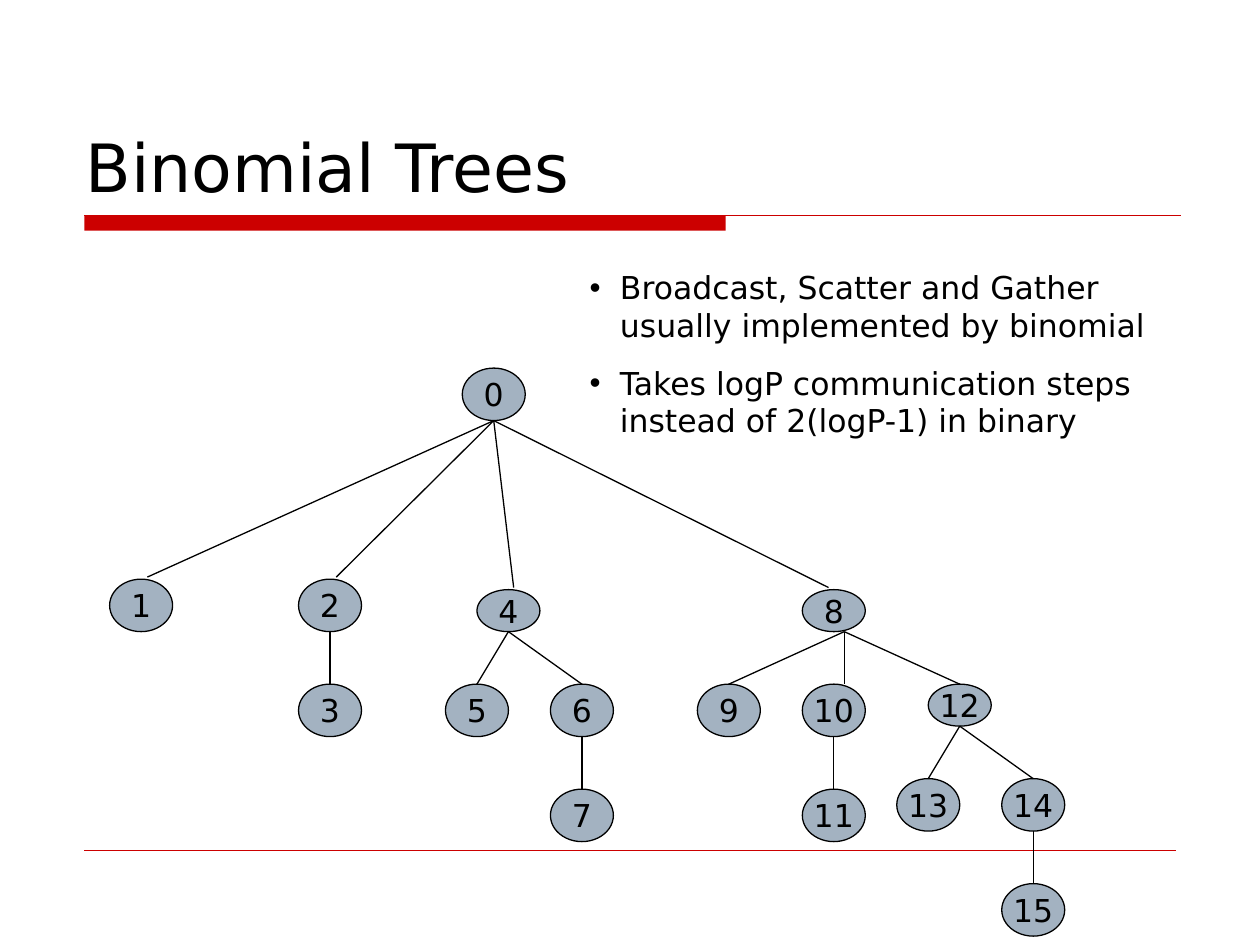
from collections import namedtuple

from lxml.etree import SubElement
from pptx import Presentation
from pptx.dml.color import RGBColor
from pptx.enum.shapes import MSO_CONNECTOR as Connector, MSO_SHAPE as Preset
from pptx.enum.text import MSO_ANCHOR as Anchor, MSO_AUTO_SIZE as AutoSize, PP_ALIGN as Align
from pptx.oxml.ns import qn
from pptx.util import Inches, Pt

Box = namedtuple("Box", "left top width height")
Node = namedtuple("Node", "column row height")

COLORS = {"accent": "CC0000", "node": "A3B2C1", "ink": "000000"}
FONT = "DejaVu Sans"
GRID_COLUMNS, GRID_ROWS = 91, 54
NODE_WIDTH = 6

NODES = {
    0: Node(33.6, -0.1, 5),
    1: Node(0, 20, 5),
    2: Node(18, 20, 5),
    3: Node(18, 30, 5),
    4: Node(35, 21, 4),
    5: Node(32, 30, 5),
    6: Node(42, 30, 5),
    7: Node(42, 40, 5),
    8: Node(66, 21, 4),
    9: Node(56, 30, 5),
    10: Node(66, 30, 5),
    11: Node(66, 40, 5),
    12: Node(78, 30, 4),
    13: Node(75, 39, 5),
    14: Node(85, 39, 5),
    15: Node(85, 49, 5),
}
CHILDREN = {
    0: [1, 2, 4, 8],
    2: [3],
    4: [5, 6],
    6: [7],
    8: [9, 10, 12],
    10: [11],
    12: [13, 14],
    14: [15],
}
EXIT_SHIFT = {8: 1}
ENTRY_SHIFT = {1: (0.6, -0.2), 2: (0.6, -0.2), 4: (0.5, -0.2), 8: (-0.5, -0.2), 10: (1, 0)}
POINTS = [
    "Broadcast, Scatter and Gather usually implemented by binomial",
    "Takes logP communication steps instead of 2(logP-1) in binary",
]


def color(name):
    return RGBColor.from_string(COLORS[name])


def place(shape, box):
    shape.left, shape.top, shape.width, shape.height = map(Inches, box)


def style_text(para, size):
    para.font.name = FONT
    para.font.size = Pt(size)
    para.font.color.rgb = color("ink")


def add_line(page, start, end, name, weight):
    line = page.shapes.add_connector(Connector.STRAIGHT, *map(Inches, (*start, *end)))
    line.line.color.rgb = color(name)
    line.line.width = Pt(weight)
    SubElement(line._element.spPr, qn("a:effectLst"))


def add_title(page, box):
    title = page.shapes.title
    place(title, box)
    frame = title.text_frame
    frame.text = "Binomial Trees"
    frame.vertical_anchor = Anchor.BOTTOM
    frame.margin_bottom = Inches(0.03)
    frame.auto_size = AutoSize.NONE
    para = frame.paragraphs[0]
    para.alignment = Align.LEFT
    style_text(para, 38)


def add_rules(page, box):
    bar_width = box.width * 0.585
    bar = page.shapes.add_shape(
        Preset.RECTANGLE, *map(Inches, (box.left, box.top, bar_width, 0.12))
    )
    bar.shadow.inherit = False
    bar.fill.solid()
    bar.fill.fore_color.rgb = color("accent")
    bar.line.fill.background()
    right, bottom = box.left + box.width, box.top + box.height
    add_line(page, (box.left, box.top), (right, box.top), "accent", 0.75)
    add_line(page, (box.left, bottom), (right - 0.04, bottom), "accent", 0.25)


def add_points(page, box):
    body = page.placeholders[1]
    place(body, box)
    frame = body.text_frame
    frame.text = "\n".join(POINTS)
    frame.word_wrap = True
    frame.auto_size = AutoSize.SHAPE_TO_FIT_TEXT
    for para in frame.paragraphs:
        style_text(para, 18)
        para.space_before = Pt(11.2)
        properties = para._p.get_or_add_pPr()
        properties.set("marL", str(Inches(0.24)))
        properties.set("indent", str(-Inches(0.24)))


def add_node(page, label, box):
    node = page.shapes.add_shape(Preset.OVAL, *map(Inches, box))
    node.shadow.inherit = False
    node.fill.solid()
    node.fill.fore_color.rgb = color("node")
    node.line.color.rgb = color("ink")
    node.line.width = Pt(0.75)
    frame = node.text_frame
    frame.text = label
    frame.word_wrap = False
    frame.vertical_anchor = Anchor.MIDDLE
    para = frame.paragraphs[0]
    para.alignment = Align.CENTER
    style_text(para, 18)


def add_tree(page, box):
    cell_width, cell_height = box.width / GRID_COLUMNS, box.height / GRID_ROWS

    def point(column, row):
        return box.left + column * cell_width, box.top + row * cell_height

    for number, node in NODES.items():
        size = NODE_WIDTH * cell_width, node.height * cell_height
        add_node(page, str(number), Box(*point(node.column, node.row), *size))

    for parent, children in CHILDREN.items():
        source = NODES[parent]
        middle = source.column + NODE_WIDTH / 2 + EXIT_SHIFT.get(parent, 0)
        start = point(middle, source.row + source.height)
        for child in children:
            target = NODES[child]
            across, down = ENTRY_SHIFT.get(child, (0, 0))
            end = point(target.column + NODE_WIDTH / 2 + across, target.row + down)
            add_line(page, start, end, "ink", 0.75)


def main():
    deck = Presentation()
    deck.slide_width, deck.slide_height = Inches(10), Inches(7.5)
    page = deck.slides.add_slide(deck.slide_layouts[1])
    add_rules(page, Box(0.67, 1.71, 8.7, 5.04))
    add_title(page, Box(0.58, 0.33, 8.75, 1.33))
    add_tree(page, Box(0.87, 2.93, 7.58, 4.5))
    add_points(page, Box(4.58, 2.08, 5.17, 1.46))
    deck.save("out.pptx")


if __name__ == "__main__":
    main()
